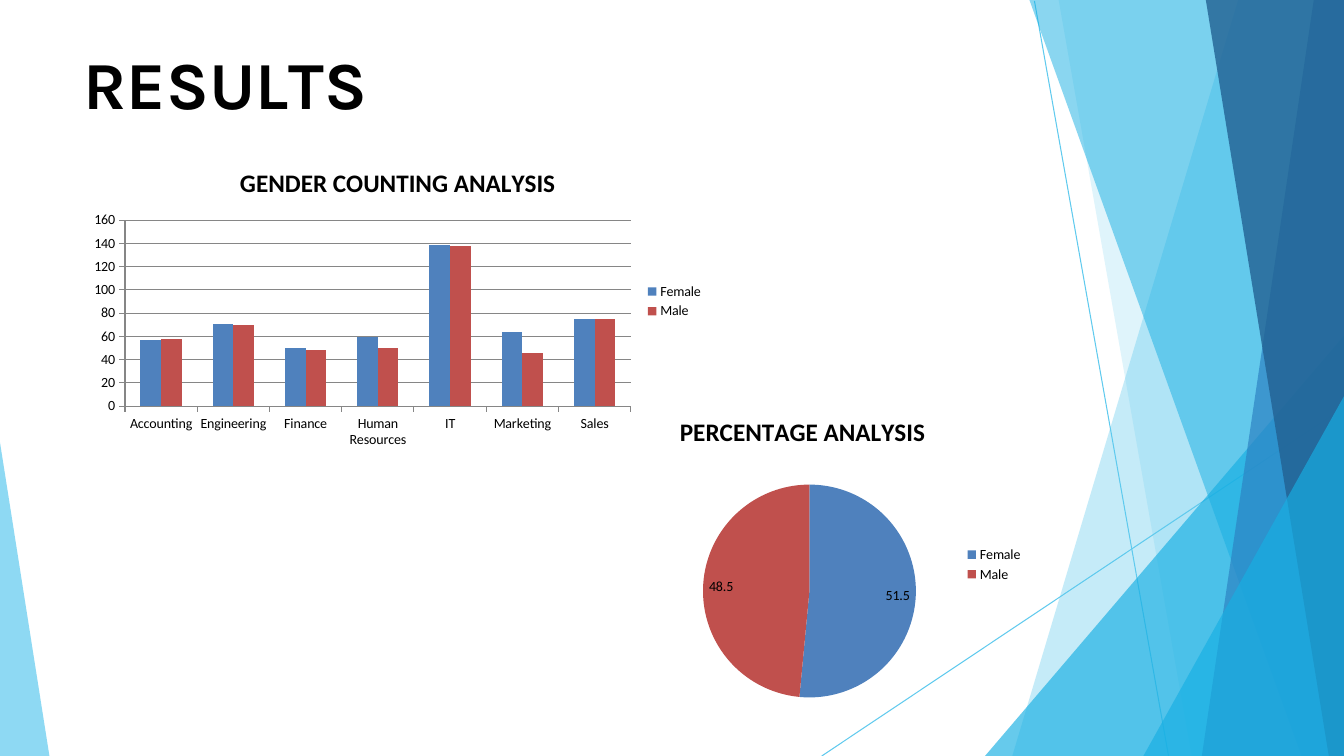
from lxml import etree
from pptx import Presentation
from pptx.chart.data import CategoryChartData
from pptx.dml.color import RGBColor
from pptx.enum.chart import XL_CHART_TYPE as CT, XL_LABEL_POSITION as LP
from pptx.enum.chart import XL_LEGEND_POSITION as LG, XL_TICK_MARK as TM
from pptx.enum.shapes import MSO_CONNECTOR as MC
from pptx.enum.text import MSO_ANCHOR as MA, PP_ALIGN as PA
from pptx.oxml import parse_xml
from pptx.oxml.ns import nsdecls, qn
from pptx.util import Inches, Pt

W, H = 13.33, 7.5
FEMALE, MALE = "4F81BD", "C0504D"


def rgb(value):
    return RGBColor.from_string(value)


def add_text(p, text, size=10, font="Calibri", color="000000", bold=False, spacing=0):
    r = p.add_run()
    r.text = text
    f = r.font
    f.size, f.name, f.bold = Pt(size), font, bold
    f.color.rgb = rgb(color)
    if spacing:
        r._r.get_or_add_rPr().set("spc", str(round(spacing * 100)))


def add_line(s, x1, y1, x2, y2, color="5FCAEE"):
    sp = s.shapes.add_connector(MC.STRAIGHT, Inches(x1), Inches(y1), Inches(x2), Inches(y2))
    sp.line.color.rgb = rgb(color)
    sp.line.width = Pt(0.75)
    etree.SubElement(sp._element.spPr, qn("a:effectLst"))


def add_facet(s, points, color, opacity):
    start, *rest = [(Inches(x), Inches(y)) for x, y in points]
    builder = s.shapes.build_freeform(*start, scale=1.0)
    builder.add_line_segments(rest, close=True)
    sp = builder.convert_to_shape()
    sp.shadow.inherit = False
    sp.line.fill.background()
    sp.fill.solid()
    sp.fill.fore_color.rgb = rgb(color)
    fill = sp._element.spPr.find(qn("a:solidFill"))
    etree.SubElement(fill[0], qn("a:alpha")).set("val", str(opacity * 1000))


def add_facets(s, right, bottom):
    def band(top, base):
        return [(right, 0), (top, 0), (base, bottom), (right, bottom)]

    def corner(base, peak):
        return [(right, peak), (base, bottom), (right, bottom)]

    add_line(s, 10.26, 0.01, 11.59, bottom)
    add_line(s, right, 4.04, 8.15, bottom)
    for points, color, opacity in [
        (band(12.28, 10.04), "5FCAEE", 36),
        (band(10.5, 11.82), "5FCAEE", 20),
        (corner(9.77, 3.33), "17AFE3", 66),
        (band(10.21, 12.91), "17AFE3", 50),
        (band(13.03, 11.92), "2D83C3", 70),
        (band(11.96, 13.18), "226192", 80),
        (corner(11.34, 3.93), "17AFE3", 66),
        ([(0, 4.39), (0, bottom), (0.49, bottom)], "5FCAEE", 70),
    ]:
        add_facet(s, points, color, opacity)


def add_title(s, x, y, w, h):
    sp = s.shapes.title
    sp.left, sp.top, sp.width, sp.height = map(Inches, (x, y, w, h))
    tf = sp.text_frame
    tf.margin_left = tf.margin_top = tf.margin_right = tf.margin_bottom = 0
    tf.vertical_anchor = MA.TOP
    p = tf.paragraphs[0]
    p.alignment = PA.LEFT
    for text, spacing in [("R", 0), ("E", -0.4), ("S", 0.1), ("U", -0.3), ("L", -4), ("TS", 0)]:
        add_text(p, text, size=48, font="Karla", bold=True, spacing=spacing)


def add_chart(s, box, kind, title, cats, series):
    data = CategoryChartData()
    data.categories = cats
    for name, vals in series:
        data.add_series(name, vals)
    chart = s.shapes.add_chart(kind, *map(Inches, box), data).chart
    chart.font.size, chart.font.name = Pt(10), "Calibri"
    chart.font.color.rgb = rgb("000000")
    chart.has_title = True
    add_text(chart.chart_title.text_frame.paragraphs[0], title, size=18, bold=True)
    chart.chart_title.include_in_layout = False
    chart.has_legend = True
    chart.legend.position = LG.RIGHT
    chart.legend.include_in_layout = False
    return chart


def paint(item, color):
    item.format.fill.solid()
    item.format.fill.fore_color.rgb = rgb(color)


def add_gender_chart(s, *box):
    cats = ["Accounting", "Engineering", "Finance", "Human Resources", "IT", "Marketing", "Sales"]
    series = [("Female", [57, 71, 50, 59, 139, 64, 75]), ("Male", [58, 70, 48, 50, 138, 46, 75])]
    chart = add_chart(s, box, CT.COLUMN_CLUSTERED, "GENDER COUNTING ANALYSIS", cats, series)
    plot = chart.plots[0]
    plot.gap_width, plot.overlap, plot.vary_by_categories = 150, 0, False
    for ser, color in zip(plot.series, (FEMALE, MALE)):
        paint(ser, color)
    for axis in (chart.category_axis, chart.value_axis):
        axis.major_tick_mark, axis.minor_tick_mark = TM.OUTSIDE, TM.NONE
        axis.format.line.color.rgb = rgb("868686")
    axis.has_major_gridlines = True
    axis.major_gridlines.format.line.color.rgb = rgb("868686")
    axis.minimum_scale, axis.maximum_scale, axis.major_unit = 0, 160, 20


def add_percentage_chart(s, *box):
    chart = add_chart(s, box, CT.PIE, "PERCENTAGE ANALYSIS", ["Female", "Male"],
                      [("Series 1", [51.5, 48.5])])
    plot = chart.plots[0]
    plot.vary_by_categories = True
    ser = plot.series[0]
    for i, color in enumerate((FEMALE, MALE)):
        paint(ser.points[i], color)
    labels = ser.data_labels
    labels.show_value = True
    labels.show_percentage = labels.show_category_name = False
    labels.position = LP.INSIDE_END
    area = chart._chartSpace.chart.plotArea
    for old in area.findall(qn("c:layout")):
        area.remove(old)
    sizes = "".join(f'<c:{k} val="{v}"/>' for k, v in zip("xywh", (0.17, 0.26, 0.69, 0.64)))
    area.insert(0, parse_xml(
        f'<c:layout {nsdecls("c")}><c:manualLayout><c:layoutTarget val="inner"/>'
        f'<c:xMode val="edge"/><c:yMode val="edge"/>{sizes}</c:manualLayout></c:layout>'))


def main():
    prs = Presentation()
    prs.slide_width, prs.slide_height = Inches(W), Inches(H)
    s = prs.slides.add_slide(prs.slide_layouts[5])
    add_facets(s, W, H)
    add_title(s, 0.83, 0.42, 11.68, 0.83)
    add_gender_chart(s, 0.81, 1.48, 6.27, 3.02)
    add_percentage_chart(s, 5.67, 3.95, 4.58, 3.3)
    prs.save("out.pptx")


if __name__ == "__main__":
    main()
